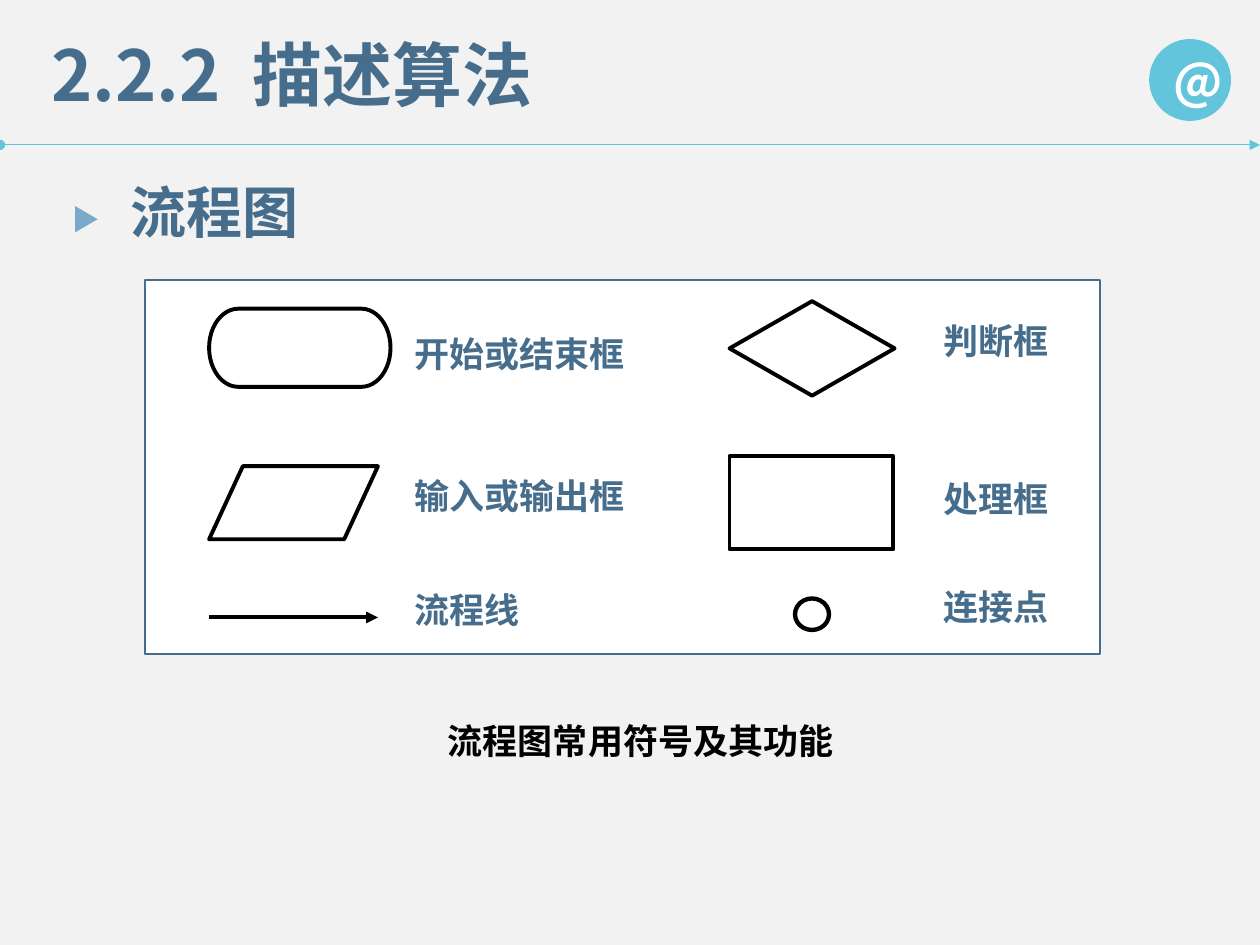
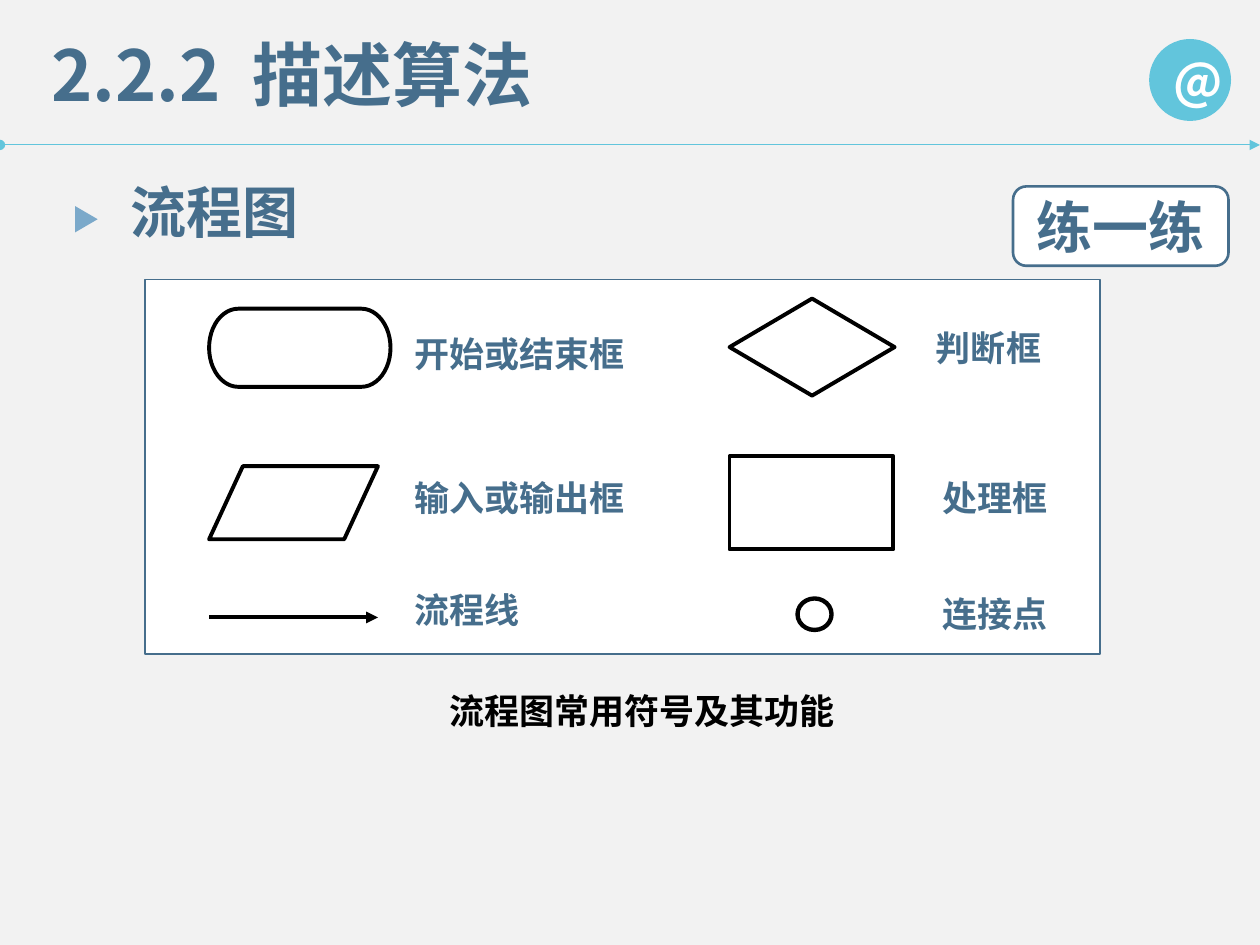
from lxml.etree import SubElement
from pptx import Presentation
from pptx.dml.color import RGBColor
from pptx.enum.shapes import MSO_CONNECTOR as Link, MSO_SHAPE as Kind
from pptx.enum.text import MSO_ANCHOR as Anchor, MSO_AUTO_SIZE as Fit, PP_ALIGN as Align
from pptx.oxml.ns import qn
from pptx.util import Emu, Pt

SCALE = 9144  # EMU in one px, 100 px to the inch
BLUE, CYAN, SKY = "466E8C", "62C5DC", "7BA9CA"
BLACK, WHITE, GREY = "000000", "FFFFFF", "F2F2F2"
SANS, LATIN = "Noto Sans CJK SC", "Calibri"


def px(*sizes):
    return [Emu(size * SCALE) for size in sizes]


def rgb(code):
    return RGBColor.from_string(code)


class Deck:
    """Holds the shared style and the slide being built."""

    def __init__(self):
        self.prs = Presentation()
        self.prs.slide_width, self.prs.slide_height = px(1000, 750)
        back = self.prs.slide_master.background.fill
        back.solid()
        back.fore_color.rgb = rgb(GREY)

    def start(self, number, name):
        """Add a slide with its title, rule and badge."""
        self.slide = self.prs.slides.add_slide(self.prs.slide_layouts[5])
        self.shapes = self.slide.shapes
        self.line(0, 115, 1000, CYAN, 0.5, head="oval")
        badge = self.shape(Kind.OVAL, (912, 31, 65, 65), CYAN)
        self.label(badge, "@", 28, WHITE, align=Align.CENTER, anchor=Anchor.MIDDLE)
        title = self.shapes.title
        title.left, title.top, title.width, title.height = px(31, 20, 752, 77)
        para = title.text_frame.paragraphs[0]
        for part in (number, " ", name):
            para.add_run().text = part
        self.style(title, 40, BLUE, fit=Fit.SHAPE_TO_FIT_TEXT)
        # Widen the gap after the section number.
        para.runs[1].font._element.set("spc", "900")

    def style(self, shape, size, color, font=SANS, align=Align.LEFT,
              anchor=Anchor.TOP, wrap=True, fit=Fit.NONE):
        frame = shape.text_frame
        frame.word_wrap, frame.auto_size = wrap, fit
        frame.vertical_anchor = anchor
        para = frame.paragraphs[0]
        para.alignment = align
        for run in para.runs:
            run.font.size, run.font.bold, run.font.name = Pt(size), True, font
            run.font.color.rgb = rgb(color)
            SubElement(run.font._element, qn("a:ea"), typeface=SANS)
        return para

    def label(self, shape, text, size, color, **look):
        shape.text_frame.text = text
        return self.style(shape, size, color, **look)

    def text(self, box, text, size, color=BLUE, **look):
        return self.label(self.shapes.add_textbox(*px(*box)), text, size, color, **look)

    def shape(self, kind, box, fill=WHITE, line=None, width=2.25):
        item = self.shapes.add_shape(kind, *px(*box))
        item.shadow.inherit = False
        if fill:
            item.fill.solid()
            item.fill.fore_color.rgb = rgb(fill)
        else:
            item.fill.background()
        if line:
            item.line.color.rgb = rgb(line)
            item.line.width = Pt(width)
        else:
            item.line.fill.background()
        return item

    def line(self, left, top, right, color, width, head=None):
        """Draw a level arrow that points right."""
        item = self.shapes.add_connector(Link.STRAIGHT, *px(left, top, right, top))
        item.line.color.rgb = rgb(color)
        item.line.width = Pt(width)
        SubElement(item._element.spPr, qn("a:effectLst"))
        ends = item.line._get_or_add_ln()
        if head:
            SubElement(ends, qn("a:headEnd"), type=head)
        SubElement(ends, qn("a:tailEnd"), type="triangle")

    def heading(self, text):
        self.text((94, 136, 155, 64), text, 32, wrap=False, fit=Fit.SHAPE_TO_FIT_TEXT)
        self.shape(Kind.ISOSCELES_TRIANGLE, (58, 165, 21, 18), SKY).rotation = 90

    def chart(self, edge, peak, dot, labels, wide, align):
        """Draw the panel of flowchart symbols and their labels.

        edge: panel line width; peak: top of the diamond; dot: left of the
        joint; labels: (left, top) by name; wide: label widths by column.
        """
        self.shape(Kind.RECTANGLE, (115, 222, 758, 297), WHITE, BLUE, edge)
        symbols = [
            (Kind.FLOWCHART_TERMINATOR, (166, 245, 144, 62), WHITE, 2.25),
            (Kind.FLOWCHART_DECISION, (579, peak, 131, 314 - peak), WHITE, 2.25),
            (Kind.FLOWCHART_DATA, (166, 370, 134, 58), WHITE, 2.25),
            (Kind.FLOWCHART_PROCESS, (579, 362, 130, 74), WHITE, 2.25),
            (Kind.OVAL, (dot, 475, 27, 25), None, 2.5),
        ]
        for kind, box, fill, width in symbols:
            self.shape(kind, box, fill, BLACK, width)
        self.line(166, 490, 300, BLACK, 2.25)
        for name, (left, top) in labels.items():
            width = wide[left > 500]
            self.text((left, top, width, 55), name, 20, align=align)

    def caption(self, box, wrap, indent=0):
        para = self.text(box, "流程图常用符号及其功能", 20, BLACK, font=LATIN,
                         align=Align.CENTER, anchor=Anchor.MIDDLE, wrap=wrap,
                         fit=Fit.SHAPE_TO_FIT_TEXT)
        if indent:
            props = para._p.get_or_add_pPr()
            props.set("marL", "0")
            props.set("indent", str(indent * SCALE))

    def button(self, box, text):
        item = self.shape(Kind.ROUNDED_RECTANGLE, box, WHITE, BLUE, 1.5)
        self.label(item, text, 32, BLUE, font=LATIN, align=Align.CENTER,
                   anchor=Anchor.MIDDLE)


def main():
    deck = Deck()

    deck.start("2.2.2", "描述算法")
    deck.chart(1, 239, 631, {
        "开始或结束框": (319, 259), "判断框": (739, 249),
        "输入或输出框": (319, 372), "处理框": (739, 374),
        "流程线": (319, 462), "连接点": (739, 460),
    }, (192, 135), Align.LEFT)
    deck.caption((115, 566, 758, 44), True, indent=29)
    deck.heading("流程图")

    deck.start("2.2.2", "描述算法")
    deck.chart(0.75, 237, 633, {
        "开始或结束框": (319, 259), "判断框": (733, 254),
        "输入或输出框": (319, 373), "处理框": (738, 373),
        "流程线": (319, 462), "连接点": (738, 465),
    }, (196, 178), Align.JUSTIFY)
    deck.caption((344, 542, 331, 44), False)
    deck.button((804, 148, 171, 63), "练一练")
    deck.heading("流程图")

    deck.prs.save("out.pptx")


if __name__ == "__main__":
    main()
